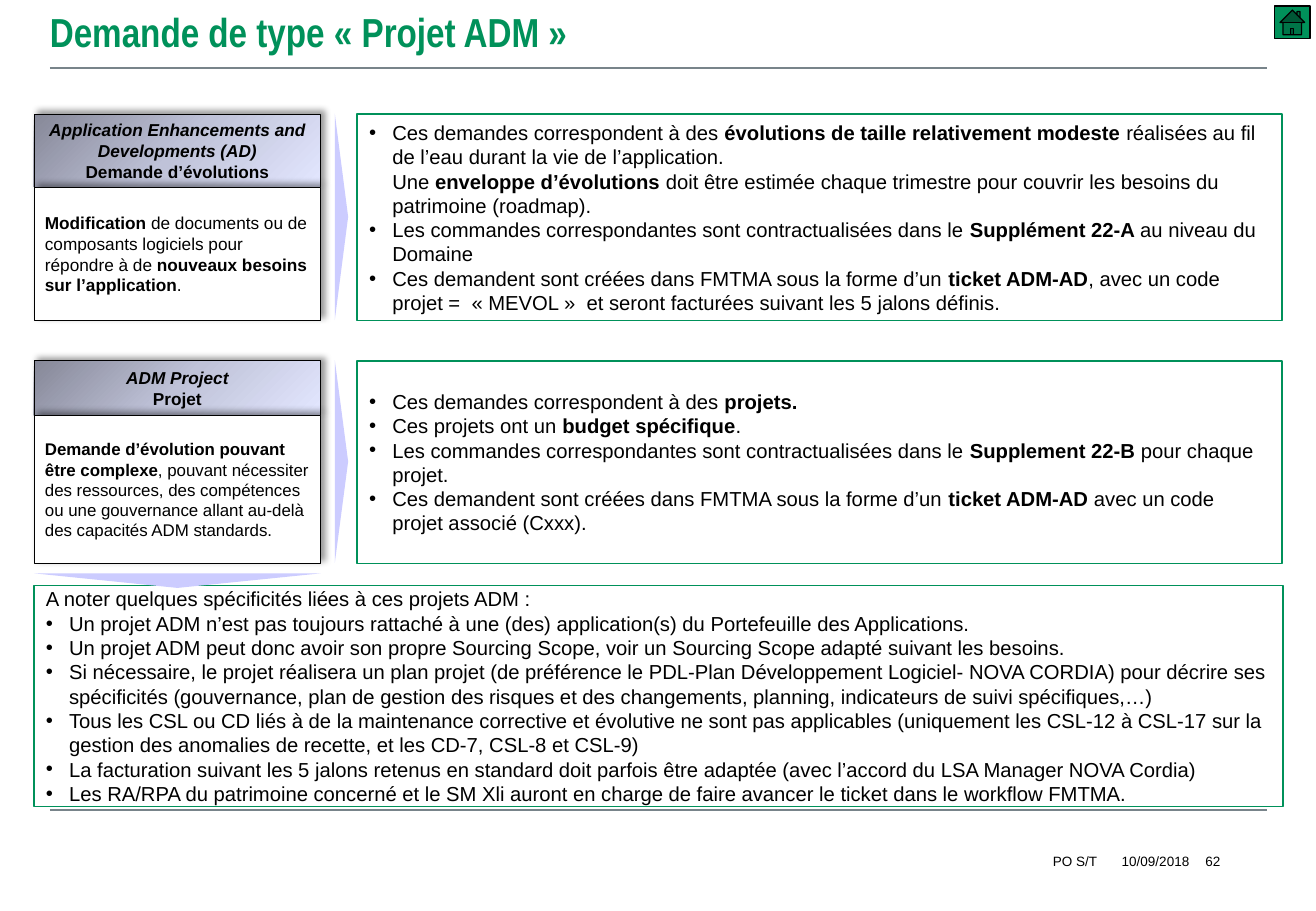
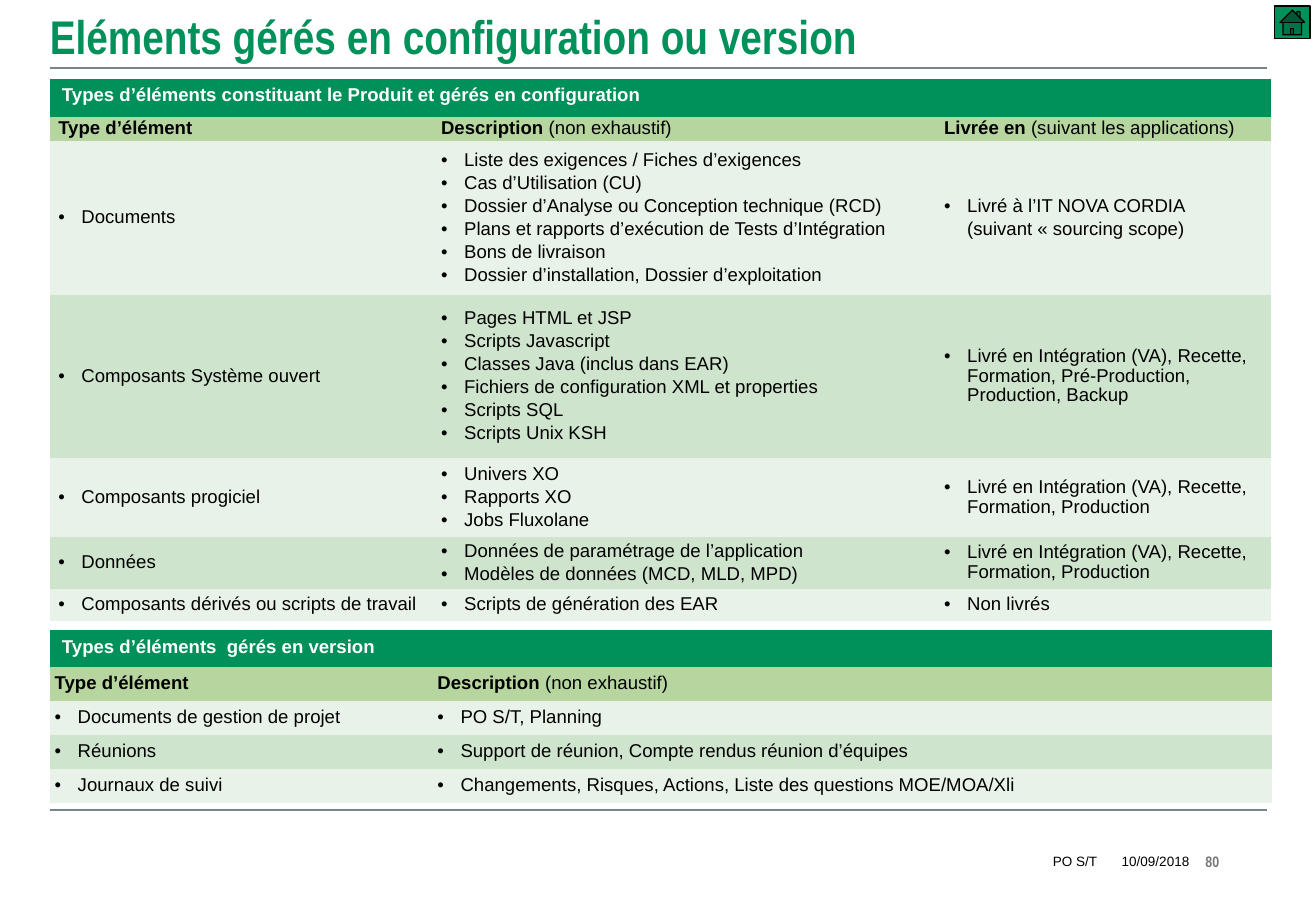
import copy

import lxml.etree
import pptx
import pptx.dml.color
import pptx.enum.dml
import pptx.enum.shapes
import pptx.enum.text
import pptx.oxml
import pptx.oxml.ns
import pptx.util

Inches = pptx.util.Inches
Pt = pptx.util.Pt
qn = pptx.oxml.ns.qn
RGBColor = pptx.dml.color.RGBColor
MSO_SHAPE = pptx.enum.shapes.MSO_SHAPE
MSO_ANCHOR = pptx.enum.text.MSO_ANCHOR
PP_ALIGN = pptx.enum.text.PP_ALIGN

COLORS = {
    "green": "00915A", "rule": "78848A", "black": "000000", "white": "FFFFFF",
    "page": "777777", "arrow": "CCCCFF", "subheader": "B6D59F",
    "pale": "E9F2E8", "soft": "CFE4CD",
}
RGB = {name: RGBColor.from_string(value) for name, value in COLORS.items()}
HEADER_GRADIENT = ["868898", "BFC2D8", "E3E7FF"]
SHADOW = (
    '<a:outerShdw xmlns:a="http://schemas.openxmlformats.org/drawingml/2006/main" '
    'blurRad="50800" dist="38100" dir="18900000" algn="bl" rotWithShape="0">'
    '<a:srgbClr val="000000"><a:alpha val="40000"/></a:srgbClr></a:outerShdw>'
)
NO_STYLE_TABLE = "{2D5ABB26-0587-4C30-8999-92F81FD0307C}"
INDENT = Inches(0.19)


def write_text(frame, lines, size, color="black", align=PP_ALIGN.LEFT, font="Arial",
               anchor=MSO_ANCHOR.MIDDLE, gap=0, leading=None):
    """Lines: "•" starts a bullet, ">" an indented line; *stars* enclose bold text."""
    frame.word_wrap = True
    frame.vertical_anchor = anchor
    for index, line in enumerate(lines):
        paragraph = frame.paragraphs[0] if index == 0 else frame.add_paragraph()
        paragraph.alignment = align
        paragraph.space_before = paragraph.space_after = Pt(gap)
        if leading:
            paragraph.line_spacing = leading
        if line[0] in "•>":
            properties = paragraph._p.get_or_add_pPr()
            properties.set("marL", str(INDENT))
            properties.set("indent", str(-INDENT if line[0] == "•" else 0))
            if line[0] == "•":
                lxml.etree.SubElement(properties, qn("a:buFont")).set("typeface", "Arial")
                lxml.etree.SubElement(properties, qn("a:buChar")).set("char", "•")
            line = line[1:]
        paragraph.font.name = font
        paragraph.font.size = Pt(size)
        for part, text in enumerate(line.split("*")):
            if text:
                run = paragraph.add_run()
                run.text = text
                run.font.bold = part % 2 == 1
                run.font.color.rgb = RGB[color]


def add_box(slide, kind, left, top, width, height, fill=None, line=None, line_width=1):
    shape = slide.shapes.add_shape(kind, Inches(left), Inches(top), Inches(width), Inches(height))
    shape.shadow.inherit = False
    if fill:
        shape.fill.solid()
        shape.fill.fore_color.rgb = RGB[fill]
    else:
        shape.fill.background()
    if line:
        shape.line.color.rgb = RGB[line]
        shape.line.width = Pt(line_width)
    else:
        shape.line.fill.background()
    return shape


presentation = pptx.Presentation()
presentation.slide_width = Inches(10.83)
presentation.slide_height = Inches(7.5)

# Shared frame: rules, home button, title and footer
slides = []
for title_text, title_size, title_height, page, page_style in [
    ("*Demande de type « Projet ADM »*", 24, 0.52, "62", (8, "black", PP_ALIGN.LEFT, "Arial")),
    ("*Eléments gérés en configuration ou version*", 28, 0.58, "*80*",
     (9, "page", PP_ALIGN.LEFT, "Arial Narrow")),
]:
    slide = presentation.slides.add_slide(presentation.slide_layouts[5])
    slides.append(slide)
    for y in (6.67, 0.56):
        rule = slide.shapes.add_connector(pptx.enum.shapes.MSO_CONNECTOR.STRAIGHT,
                                          Inches(0.41), Inches(y), Inches(10.43), Inches(y))
        rule.line.color.rgb = RGB["rule"]
        rule.line.width = Pt(1)
        lxml.etree.SubElement(rule._element.spPr, qn("a:effectLst"))
    add_box(slide, MSO_SHAPE.ACTION_BUTTON_HOME, 10.49, 0.05, 0.29, 0.27, "green", "black", 0.75)

    title = slide.shapes.title
    title.left, title.top = Inches(0.41), Inches(0)
    title.width, title.height = Inches(10.02), Inches(title_height)
    write_text(title.text_frame, [title_text], title_size, "green", font="Arial Narrow")
    frames = [title.text_frame]

    for left, width, text, style in [
        (6.64, 2.39, "PO S/T", (8, "black", PP_ALIGN.RIGHT)),
        (9.09, 0.84, "10/09/2018", (8, "black", PP_ALIGN.CENTER)),
        (9.92, 0.21, page, page_style),
    ]:
        footer = slide.shapes.add_textbox(Inches(left), Inches(6.99), Inches(width), Inches(0.2))
        write_text(footer.text_frame, [text], *style)
        frames.append(footer.text_frame)
    for frame in frames:
        frame.auto_size = pptx.enum.text.MSO_AUTO_SIZE.NONE
        frame.margin_left = frame.margin_right = frame.margin_top = frame.margin_bottom = 0

# Slide 1: two request types, each a card, an arrow and a list
request_slide, element_slide = slides
requests = [
    (0.94, 0.6, 1.1, 10.2,
     ["*Application Enhancements and Developments (AD)*", "*Demande d’évolutions*"],
     "*Modification* de documents ou de composants logiciels pour répondre à de "
     "*nouveaux besoins sur l’application*.",
     ["•Ces demandes correspondent à des *évolutions de taille relativement modeste *"
      "réalisées au fil de l’eau durant la vie de l’application.",
      ">Une *enveloppe d’évolutions *doit être estimée chaque trimestre pour couvrir "
      "les besoins du patrimoine (roadmap).",
      "•Les commandes correspondantes sont contractualisées dans le *Supplément 22-A *"
      "au niveau du Domaine",
      "•Ces demandent sont créées dans FMTMA sous la forme d’un *ticket ADM-AD*, avec un code "
      "projet =  « MEVOL »  et seront facturées suivant les 5 jalons définis."]),
    (2.97, 0.45, 1.22, 10,
     ["*ADM Project*", "*Projet*"],
     "*Demande d’évolution pouvant être complexe*, pouvant nécessiter des ressources, des "
     "compétences ou une gouvernance allant au-delà des capacités ADM standards.",
     ["•Ces demandes correspondent à des *projets.*",
      "•Ces projets ont un *budget spécifique*.",
      "•Les commandes correspondantes sont contractualisées dans le *Supplement 22-B *"
      "pour chaque projet.",
      "•Ces demandent sont créées dans FMTMA sous la forme d’un *ticket ADM-AD *"
      "avec un code projet associé (Cxxx)."]),
]
for top, header_height, body_height, body_size, heading, body_text, details in requests:
    header = add_box(request_slide, MSO_SHAPE.RECTANGLE, 0.28, top, 2.36, header_height,
                     "white", "black", 0.5)
    header.fill.gradient()
    header.fill.gradient_angle = 315
    stop_list = header._element.spPr.find(".//" + qn("a:gsLst"))
    stop_list.insert(1, copy.deepcopy(stop_list[0]))
    for index, (stop, color) in enumerate(zip(header.fill.gradient_stops, HEADER_GRADIENT)):
        stop.position = index / 2
        stop.color.rgb = RGBColor.from_string(color)
    write_text(header.text_frame, heading, 10.2, align=PP_ALIGN.CENTER)
    header.text_frame.paragraphs[0].runs[0].font.italic = True

    body = add_box(request_slide, MSO_SHAPE.RECTANGLE, 0.28, top + header_height, 2.36,
                   body_height, "white", "black", 0.5)
    write_text(body.text_frame, [body_text], body_size)
    for shape in (header, body):
        shape.text_frame.margin_left = shape.text_frame.margin_right = Inches(0.09)
        effects = shape._element.spPr.find(qn("a:effectLst"))
        effects.append(pptx.oxml.parse_xml(SHADOW))

    height = header_height + body_height
    detail_box = add_box(request_slide, MSO_SHAPE.RECTANGLE, 2.94, top, 7.61, height, line="green")
    write_text(detail_box.text_frame, details, 12)
    arrow = add_box(request_slide, MSO_SHAPE.ISOSCELES_TRIANGLE, 2.81 - height / 2,
                    top + height / 2 - 0.06, height, 0.11, "arrow")
    arrow.rotation = 90

# Slide 1: remarks on ADM projects
remarks = add_box(request_slide, MSO_SHAPE.RECTANGLE, 0.28, 4.82, 10.28, 1.82, line="green")
write_text(remarks.text_frame, [
    "A noter quelques spécificités liées à ces projets ADM :",
    "•Un projet ADM n’est pas toujours rattaché à une (des) application(s) du Portefeuille "
    "des Applications.",
    "•Un projet ADM peut donc avoir son propre Sourcing Scope, voir un Sourcing Scope adapté "
    "suivant les besoins.",
    "•Si nécessaire, le projet réalisera un plan projet (de préférence le PDL-Plan Développement "
    "Logiciel- NOVA CORDIA) pour décrire ses spécificités (gouvernance, plan de gestion des "
    "risques et des changements, planning, indicateurs de suivi spécifiques,…)",
    "•Tous les CSL ou CD liés à de la maintenance corrective et évolutive ne sont pas applicables "
    "(uniquement les CSL-12 à CSL-17 sur la gestion des anomalies de recette, et les CD-7, CSL-8 "
    "et CSL-9)",
    "•La facturation suivant les 5 jalons retenus en standard doit parfois être adaptée (avec "
    "l’accord du LSA Manager NOVA Cordia)",
    "•Les RA/RPA du patrimoine concerné et le SM Xli auront en charge de faire avancer le ticket "
    "dans le workflow FMTMA.",
], 12)
arrow = add_box(request_slide, MSO_SHAPE.ISOSCELES_TRIANGLE, 0.28, 4.72, 2.36, 0.12, "arrow")
arrow.rotation = 180

# Slide 2: element tables (top, columns, row heights, side and top margins, gap, banner, rows)
element_tables = [
    (0.65, [3.15, 4.14, 2.76], [0.31, 0.2, 1.27, 1.34, 0.65, 0.43, 0.26], 0.07, 0, 1,
     "*Types d’éléments constituant le Produit et gérés en configuration*",
     [[["*Type d’élément*"], ["*Description *(non exhaustif)"],
       ["*Livrée en *(suivant les applications)"]],
      [["•Documents"],
       ["•Liste des exigences / Fiches d’exigences", "•Cas d’Utilisation (CU)",
        "•Dossier d’Analyse ou Conception technique (RCD)",
        "•Plans et rapports d’exécution de Tests d’Intégration", "•Bons de livraison",
        "•Dossier d’installation, Dossier d’exploitation"],
       ["•Livré à l’IT NOVA CORDIA", ">(suivant « sourcing scope)"]],
      [["•Composants Système ouvert"],
       ["•Pages HTML et JSP", "•Scripts Javascript", "•Classes Java (inclus dans EAR)",
        "•Fichiers de configuration XML et properties", "•Scripts SQL", "•Scripts Unix KSH"],
       ["•Livré en Intégration (VA), Recette, Formation, Pré-Production, Production, Backup"]],
      [["•Composants progiciel"],
       ["•Univers XO", "•Rapports XO", "•Jobs Fluxolane"],
       ["•Livré en Intégration (VA), Recette, Formation, Production"]],
      [["•Données"],
       ["•Données de paramétrage de l’application", "•Modèles de données (MCD, MLD, MPD)"],
       ["•Livré en Intégration (VA), Recette, Formation, Production"]],
      [["•Composants dérivés ou scripts de travail"], ["•Scripts de génération des EAR"],
       ["•Non livrés"]]]),
    (5.19, [3.15, 6.91], [0.3] + [0.28] * 4, 0.04, 0.03, 1.5,
     "*Types d’éléments  gérés en version*",
     [[["*Type d’élément*"], ["*Description *(non exhaustif)"]],
      [["•Documents de gestion de projet"], ["•PO S/T, Planning"]],
      [["•Réunions"], ["•Support de réunion, Compte rendus réunion d’équipes"]],
      [["•Journaux de suivi"],
       ["•Changements, Risques, Actions, Liste des questions MOE/MOA/Xli"]]]),
]
for top, widths, heights, side_margin, top_margin, gap, banner_text, rows in element_tables:
    table = element_slide.shapes.add_table(
        len(heights), len(widths), Inches(0.41), Inches(top),
        Inches(sum(widths)), Inches(sum(heights))).table
    table._tbl.tblPr.find(qn("a:tableStyleId")).text = NO_STYLE_TABLE
    table.first_row = table.horz_banding = False
    for column, width in zip(table.columns, widths):
        column.width = Inches(width)
    for row, height in zip(table.rows, heights):
        row.height = Inches(height)

    banner = table.cell(0, 0)
    banner.merge(table.cell(0, len(widths) - 1))
    banner.fill.solid()
    banner.fill.fore_color.rgb = RGB["green"]
    write_text(banner.text_frame, [banner_text], 11, "white", anchor=MSO_ANCHOR.TOP)

    for row_index, row in enumerate(rows, start=1):
        fill = "subheader" if row_index == 1 else ("soft" if row_index % 2 else "pale")
        for column_index, lines in enumerate(row):
            cell = table.cell(row_index, column_index)
            cell.fill.solid()
            cell.fill.fore_color.rgb = RGB[fill]
            cell.margin_left = cell.margin_right = Inches(side_margin)
            cell.margin_top = cell.margin_bottom = Inches(top_margin)
            write_text(cell.text_frame, lines, 11, gap=gap, leading=0.95)
            cell.vertical_anchor = MSO_ANCHOR.MIDDLE

presentation.save("out.pptx")
